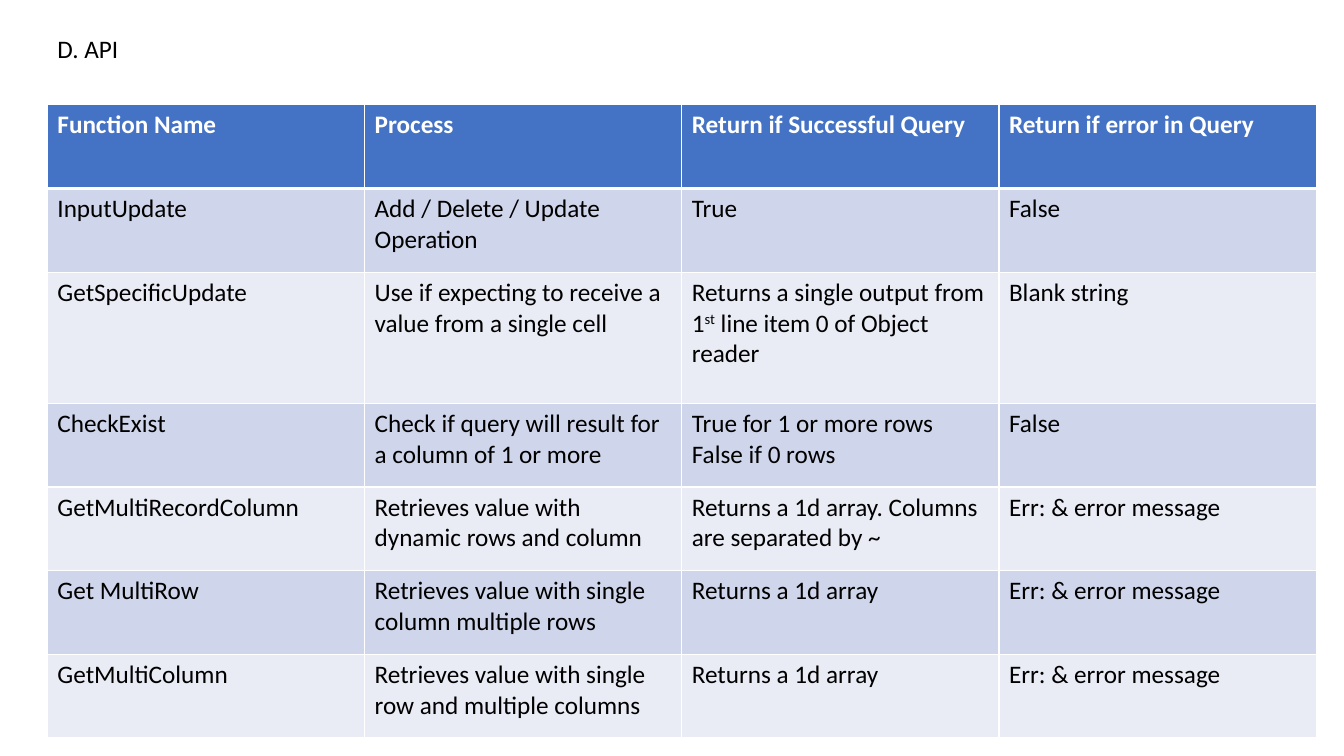
from dataclasses import dataclass

from lxml.etree import SubElement
from pptx import Presentation
from pptx.dml.color import RGBColor
from pptx.enum.text import MSO_ANCHOR, MSO_AUTO_SIZE, PP_ALIGN
from pptx.oxml.ns import qn
from pptx.util import Pt

FONT = "Calibri"
SIZE = 18
COLORS = {"head": "4472C4", "odd": "CFD5EA", "even": "E9EBF5",
          "line": "FFFFFF", "light": "FFFFFF", "dark": "000000"}
LEFT, TOP, WIDTH = 33.84, 74.88, 226.6
LOW, TALL = 59.8, 93.6
ERROR = "Err: & error message"
ARRAY = "Returns a 1d array"


@dataclass
class Row:
    """One table row; text between carets is raised, a newline splits paragraphs."""
    cells: tuple[str, str, str, str]
    height: float = LOW


ROWS = [
    Row(("Function Name", "Process", "Return if Successful Query",
         "Return if error in Query")),
    Row(("InputUpdate", "Add / Delete / Update\nOperation", "True", "False")),
    Row(("GetSpecificUpdate",
         "Use if expecting to receive a value from a single cell",
         "Returns a single output from\n1^st^ line item 0 of Object reader",
         "Blank string"), TALL),
    Row(("CheckExist", "Check if query will result for a column of 1 or more",
         "True for 1 or more rows\nFalse if 0 rows", "False")),
    Row(("GetMultiRecordColumn", "Retrieves value with dynamic rows and column",
         "Returns a 1d array. Columns are separated by ~", ERROR)),
    Row(("Get MultiRow", "Retrieves value with single column multiple rows",
         ARRAY, ERROR)),
    Row(("GetMultiColumn", "Retrieves value with single row and multiple columns",
         ARRAY, ERROR)),
]


def style(run, color: str, bold: bool = False) -> None:
    font = run.font
    font.name, font.size, font.bold = FONT, Pt(SIZE), bold
    font.color.rgb = RGBColor.from_string(COLORS[color])


def write(frame, text: str, color: str, bold: bool) -> None:
    frame.text = text.replace("^", "")
    for para, line in zip(frame.paragraphs, text.split("\n")):
        parts = line.split("^")
        para.runs[0].text = parts[0]
        for part in parts[1:]:
            para.add_run().text = part
        for place, run in enumerate(para.runs):
            style(run, color, bold)
            if place % 2:
                run.font._element.set("baseline", "30000")


def border(cell, top: int, bottom: int) -> None:
    props = cell._tc.get_or_add_tcPr()
    for side, width in (("L", 1), ("R", 1), ("T", top), ("B", bottom)):
        line = SubElement(props, qn(f"a:ln{side}"), w=str(Pt(width)))
        fill = SubElement(line, qn("a:solidFill"))
        SubElement(fill, qn("a:srgbClr"), val=COLORS["line"])


def draw_row(table, index: int, row: Row) -> None:
    table.rows[index].height = Pt(row.height)
    head = index == 0
    fill = "head" if head else "odd" if index % 2 else "even"
    for cell, text in zip(table.rows[index].cells, row.cells):
        border(cell, 3 if index == 1 else 1, 3 if head else 1)
        cell.fill.solid()
        cell.fill.fore_color.rgb = RGBColor.from_string(COLORS[fill])
        write(cell.text_frame, text, "light" if head else "dark", head)


deck = Presentation()
deck.slide_width, deck.slide_height = Pt(960), Pt(540)
slide = deck.slides.add_slide(deck.slide_layouts[5])

# Title
title = slide.shapes.title
title.left, title.top = Pt(LEFT), Pt(20.16)
title.width, title.height = Pt(364.3), Pt(29)
frame = title.text_frame
frame.text = "D. API"
frame.auto_size = MSO_AUTO_SIZE.NONE
frame.vertical_anchor = MSO_ANCHOR.TOP
frame.paragraphs[0].alignment = PP_ALIGN.LEFT
style(frame.paragraphs[0].runs[0], "dark")

# Function table
count = len(ROWS[0].cells)
table = slide.shapes.add_table(
    len(ROWS), count, Pt(LEFT), Pt(TOP), Pt(WIDTH * count),
    Pt(sum(row.height for row in ROWS))).table
for column in table.columns:
    column.width = Pt(WIDTH)
for index, row in enumerate(ROWS):
    draw_row(table, index, row)

deck.save("out.pptx")
